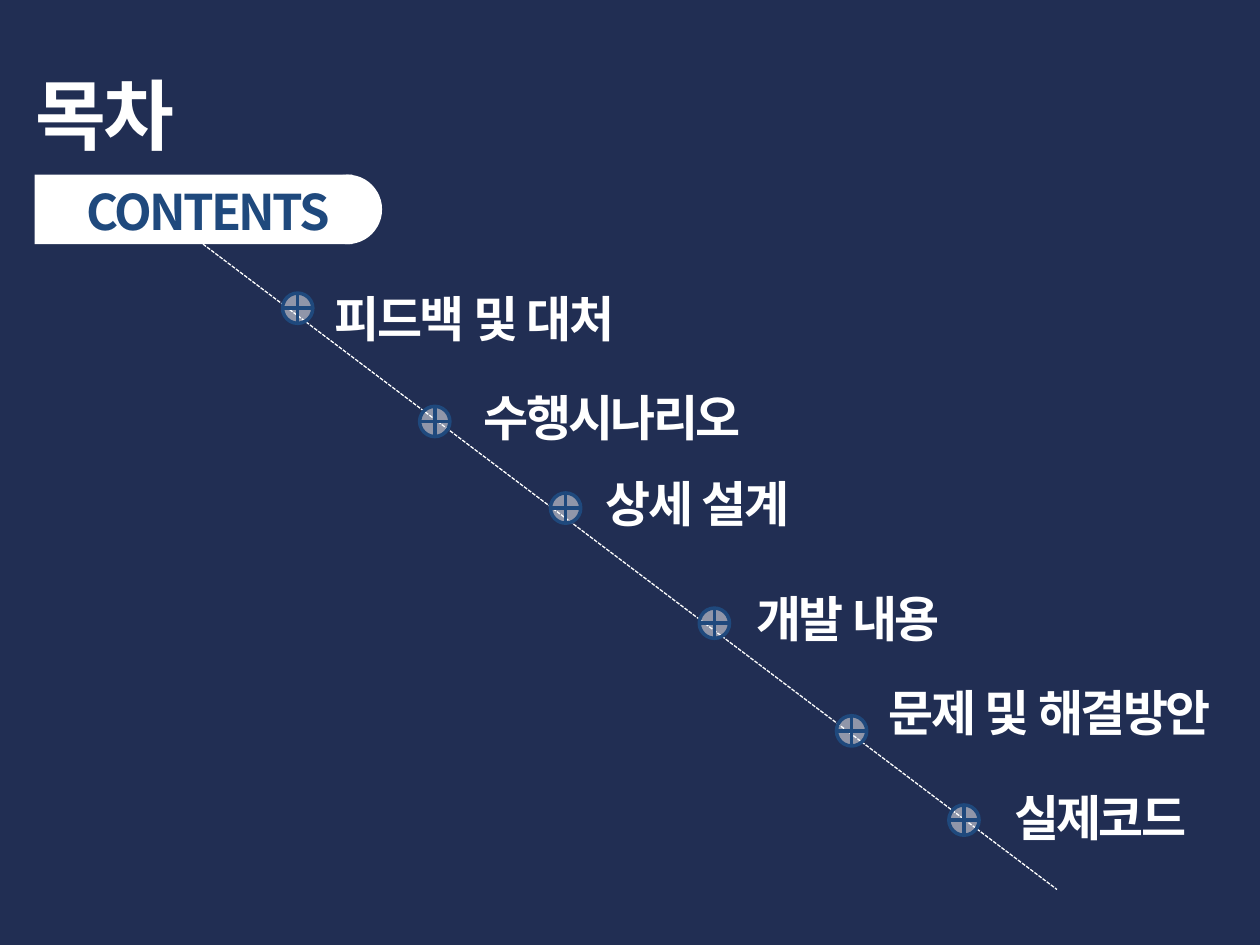
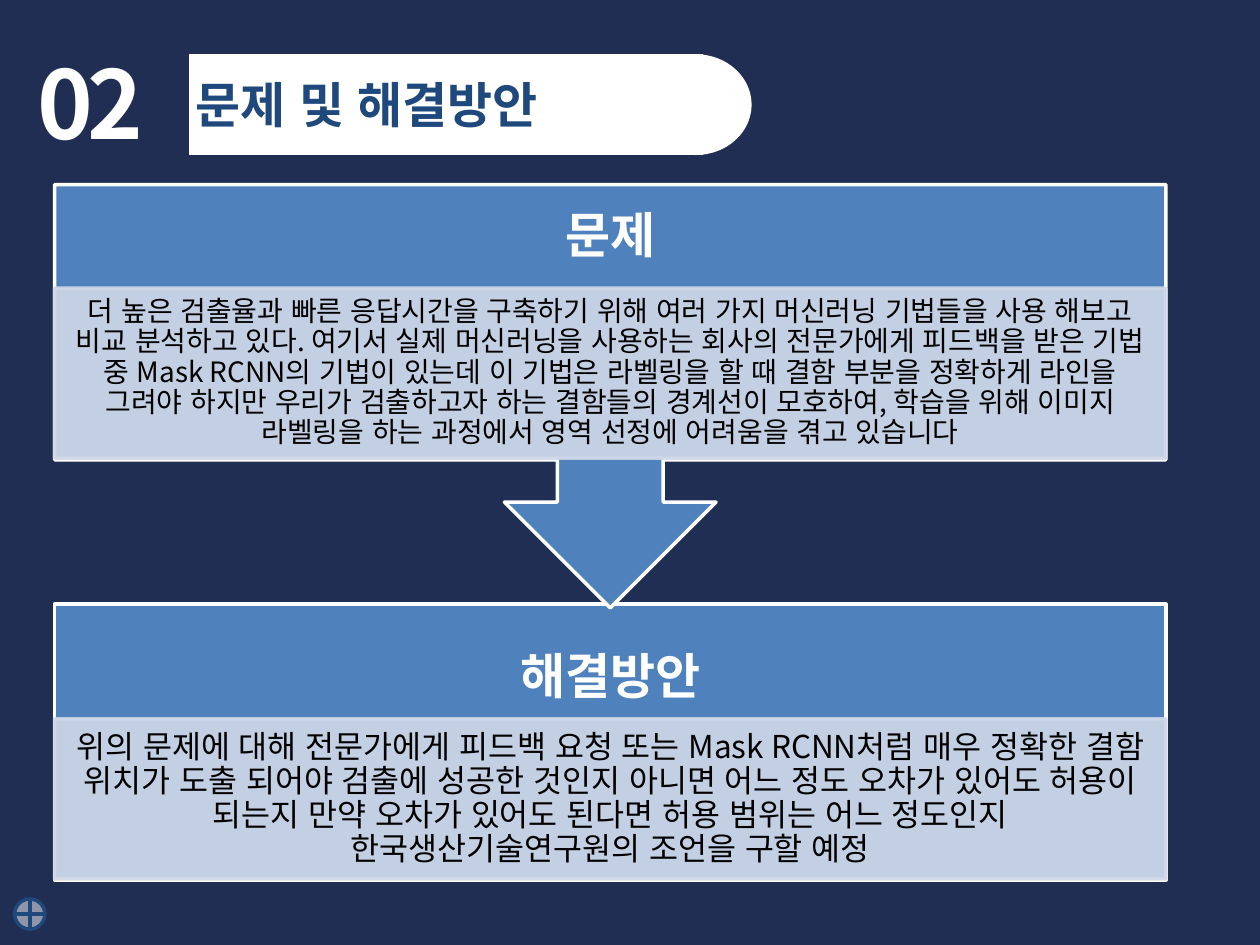
from pptx import Presentation
from pptx.dml.color import RGBColor
from pptx.enum.dml import MSO_LINE
from pptx.enum.lang import MSO_LANGUAGE_ID
from pptx.enum.shapes import MSO_CONNECTOR, MSO_SHAPE
from pptx.enum.text import MSO_ANCHOR, PP_ALIGN
from pptx.oxml.ns import qn
from pptx.util import Pt
from lxml import etree

RECT, ELLIPSE, CROSS_CIRCLE = MSO_SHAPE.RECTANGLE, MSO_SHAPE.OVAL, MSO_SHAPE.FLOWCHART_OR
CALLOUT = MSO_SHAPE.DOWN_ARROW_CALLOUT
STRAIGHT, DASH = MSO_CONNECTOR.STRAIGHT, MSO_LINE.SQUARE_DOT
TOP, MIDDLE = MSO_ANCHOR.TOP, MSO_ANCHOR.MIDDLE
LEFT, CENTER = PP_ALIGN.LEFT, PP_ALIGN.CENTER
KOREAN = MSO_LANGUAGE_ID.KOREAN

FONT = "Noto Sans CJK KR"
NAVY = RGBColor(0x21, 0x2E, 0x53)
WHITE = RGBColor(0xFF, 0xFF, 0xFF)
BLACK = RGBColor(0x00, 0x00, 0x00)
DEEP_BLUE = RGBColor(0x1F, 0x49, 0x7D)
BLUE = RGBColor(0x4F, 0x81, 0xBD)
PALE_BLUE = RGBColor(0xD0, 0xD8, 0xE8)

# Chapter, left and top of its marker, left and top of its label
CHAPTERS = [
    ("피드백 및 대처", (161.5, 167.5), (184.3, 161.6)),
    ("수행시나리오", (239.8, 232.2), (269.3, 217.7)),
    ("상세 설계", (314.6, 281.7), (339.1, 267.1)),
    ("개발 내용", (399.6, 347.5), (425.2, 332.6)),
    ("문제 및 해결방안", (478, 409), (500.8, 386.6)),
    ("실제코드", (542.2, 460), (572.4, 446.4)),
]
PROBLEM = {
    "title": "문제",
    "body": [
        "더 높은 검출율과 빠른 응답시간을 구축하기 위해 여러 가지 머신러닝 기법들을 사용 해보고",
        "비교 분석하고 있다. 여기서 실제 머신러닝을 사용하는 회사의 전문가에게 피드백을 받은 기법",
        "중 Mask RCNN의 기법이 있는데 이 기법은 라벨링을 할 때 결함 부분을 정확하게 라인을",
        "그려야 하지만 우리가 검출하고자 하는 결함들의 경계선이 모호하여, 학습을 위해 이미지",
        "라벨링을 하는 과정에서 영역 선정에 어려움을 겪고 있습니다",
    ],
    "outline": CALLOUT, "top": 105.5, "height": 241.9, "anchor": TOP,
    "body_top": 164.6, "body_height": 97.2, "body_size": 16,
}
SOLUTION = {
    "title": "해결방안",
    "body": [
        "위의 문제에 대해 전문가에게 피드백 요청 또는 Mask RCNN처럼 매우 정확한 결함",
        "위치가 도출 되어야 검출에 성공한 것인지 아니면 어느 정도 오차가 있어도 허용이",
        "되는지 만약 오차가 있어도 된다면 허용 범위는 어느 정도인지",
        "한국생산기술연구원의 조언을 구할 예정",
    ],
    "outline": RECT, "top": 345.2, "height": 157.7, "anchor": MIDDLE,
    "body_top": 410.7, "body_height": 91.6, "body_size": 18,
}
MARKER_SIZE = 17.3
LABEL_SIZE = (294.5, 41)
PANEL_LEFT, PANEL_WIDTH, PANEL_TITLE_HEIGHT = 31.2, 635, 85


def set_alpha(paint, percent):
    color = paint._xPr.find(qn("a:solidFill"))[0]
    etree.SubElement(color, qn("a:alpha")).set("val", str(percent * 1000))


def add_filled(slide, kind, box, fill, line=None, fill_alpha=100, line_alpha=100):
    shape = slide.shapes.add_shape(kind, *map(Pt, box))
    shape.shadow.inherit = False
    shape.fill.solid()
    shape.fill.fore_color.rgb = fill
    if fill_alpha < 100:
        set_alpha(shape.fill, fill_alpha)
    if line is None:
        shape.line.fill.background()
        return shape
    shape.line.width = Pt(2)
    shape.line.color.rgb = line
    if line_alpha < 100:
        set_alpha(shape.line.fill, line_alpha)
    return shape


def write(shape, lines, size, color, bold=True, tracking=0, align=LEFT, leading=1.0,
          anchor=TOP, insets=(7.2, 3.6)):
    side, edge = map(Pt, insets)
    frame = shape.text_frame
    frame_format = {"word_wrap": True, "vertical_anchor": anchor, "margin_left": side,
                    "margin_right": side, "margin_top": edge, "margin_bottom": edge}
    for name, value in frame_format.items():
        setattr(frame, name, value)
    paragraph = frame.paragraphs[0]
    paragraph.alignment, paragraph.line_spacing = align, leading
    font_format = {"name": FONT, "size": Pt(size), "bold": bold, "language_id": KOREAN}
    for number, line in enumerate(lines):
        if number:
            paragraph.add_line_break()
        run = paragraph.add_run()
        run.text = line
        for name, value in font_format.items():
            setattr(run.font, name, value)
        run.font.color.rgb = color
        properties = run.font._element
        etree.SubElement(properties, qn("a:ea")).set("typeface", FONT)
        if tracking:
            properties.set("spc", str(round(tracking * 100)))


def add_label(slide, box, text, size, color, **text_format):
    write(slide.shapes.add_textbox(*map(Pt, box)), [text], size, color, **text_format)


def add_marker(slide, left, top):
    add_filled(slide, CROSS_CIRCLE, (left, top, MARKER_SIZE, MARKER_SIZE),
               WHITE, DEEP_BLUE, fill_alpha=50)


def add_pill(slide, left, top, bar_width, height, cap_left, cap_width):
    """White band with a rounded right end."""
    add_filled(slide, RECT, (left, top, bar_width, height), WHITE)
    add_filled(slide, ELLIPSE, (cap_left, top, cap_width, height), WHITE)


def add_panel(slide, panel):
    across = (PANEL_LEFT, panel["top"], PANEL_WIDTH)
    outline = add_filled(slide, panel["outline"], (*across, panel["height"]), BLUE, WHITE)
    if panel["outline"] == CALLOUT:
        for index, value in enumerate((0.25, 0.25, 0.25, 0.65)):
            outline.adjustments[index] = value
    add_label(slide, (*across, PANEL_TITLE_HEIGHT), panel["title"], 28, WHITE, align=CENTER,
              leading=0.9, anchor=panel["anchor"], insets=(15.8, 15.8))
    body = add_filled(slide, RECT,
                      (PANEL_LEFT, panel["body_top"], PANEL_WIDTH, panel["body_height"]),
                      PALE_BLUE, PALE_BLUE, fill_alpha=90, line_alpha=90)
    write(body, panel["body"], panel["body_size"], BLACK, bold=False, align=CENTER,
          leading=0.9, anchor=MIDDLE, insets=(6.5, 1.4))


def add_slide(deck):
    slide = deck.slides.add_slide(deck.slide_layouts[6])
    slide.background.fill.solid()
    slide.background.fill.fore_color.rgb = NAVY
    return slide


def build_contents(deck):
    slide = add_slide(deck)
    add_label(slide, (13, 35.3, 487.5, 59), "목차", 44, WHITE, tracking=-1.5)
    add_pill(slide, 19.8, 99.8, 181.5, 39.7, 178.6, 39.7)
    add_label(slide, (42.5, 100, 181.5, 41), "CONTENTS", 28, DEEP_BLUE, tracking=-1.5)

    path_line = slide.shapes.add_connector(STRAIGHT, *map(Pt, (116, 139.5, 604, 508.3)))
    path_line.line.color.rgb = WHITE
    path_line.line.width = Pt(0.75)
    path_line.line.dash_style = DASH
    etree.SubElement(path_line._element.spPr, qn("a:effectLst"))

    for chapter, marker_at, label_at in CHAPTERS:
        add_marker(slide, *marker_at)
        add_label(slide, (*label_at, *LABEL_SIZE), chapter, 28, WHITE, tracking=-1.5)


def build_problem_and_solution(deck):
    slide = add_slide(deck)
    add_label(slide, (14.2, 22.3, 109.4, 71.3), "02", 54, WHITE, tracking=-3)
    add_marker(slide, 8.4, 513.7)
    add_pill(slide, 108, 31, 293.8, 57.6, 365.5, 64)
    add_label(slide, (104.5, 38.9, 406, 40.3), "문제 및 해결방안", 28, DEEP_BLUE)
    for panel in (SOLUTION, PROBLEM):
        add_panel(slide, panel)


def main():
    deck = Presentation()
    deck.slide_width, deck.slide_height = Pt(720), Pt(540)
    build_contents(deck)
    build_problem_and_solution(deck)
    deck.save("out.pptx")


if __name__ == "__main__":
    main()
